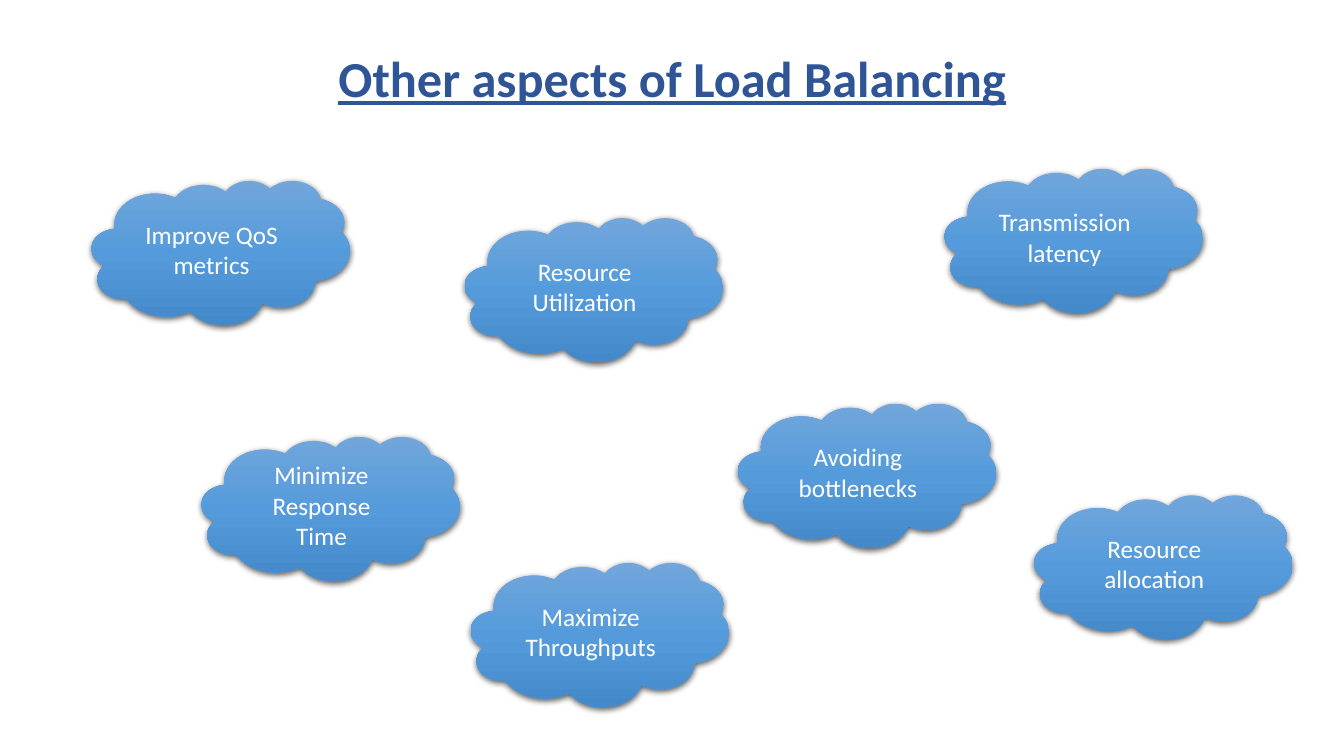
from dataclasses import dataclass

from lxml import etree
from pptx import Presentation
from pptx.dml.color import RGBColor
from pptx.enum.shapes import MSO_SHAPE
from pptx.enum.text import MSO_ANCHOR, MSO_AUTO_SIZE, PP_ALIGN
from pptx.oxml import parse_xml
from pptx.oxml.ns import qn
from pptx.util import Inches, Pt

CLOUD = MSO_SHAPE.CLOUD
MIDDLE, BOTTOM = MSO_ANCHOR.MIDDLE, MSO_ANCHOR.BOTTOM
FIXED = MSO_AUTO_SIZE.NONE
CENTER = PP_ALIGN.CENTER
NS = "http://schemas.openxmlformats.org/drawingml/2006/main"


@dataclass(frozen=True)
class Theme:
    font: str = "Calibri"
    head: str = "2F5597"
    text: str = "FFFFFF"
    shade: str = "000000"
    stops: tuple = ((0, "71A6DB"), (50, "559BDB"), (100, "448ACA"))
    big: int = 36
    body: int = 18


THEME = Theme()
SIZE = (2.56, 1.43)
ASPECTS = (
    ("Improve QoS metrics", 0.91, 1.79),
    ("Resource Utilization", 4.61, 2.16),
    ("Transmission latency", 9.37, 1.67),
    ("Minimize Response Time", 2, 4.33),
    ("Avoiding bottlenecks", 7.32, 4),
    ("Maximize Throughputs", 4.67, 5.58),
    ("Resource allocation", 10.26, 4.91),
)


def apply(item, form):
    for name, value in form.items():
        setattr(item, name, value)


def place(shape, box):
    names = ("left", "top", "width", "height")
    apply(shape, dict(zip(names, map(Inches, box))))


def write(shape, text, anchor, color, font, spacing=None):
    frame = shape.text_frame
    apply(frame, {"text": text, "word_wrap": True, "auto_size": FIXED,
                  "vertical_anchor": anchor})
    line = frame.paragraphs[0]
    apply(line, {"alignment": CENTER, "line_spacing": spacing})
    face = line.runs[0].font
    apply(face, {"name": THEME.font, **font})
    face.color.rgb = RGBColor.from_string(color)


def blend(shape):
    fill = shape.fill
    fill.gradient()
    fill.gradient_angle = 270
    tray = shape._element.spPr.find(f".//{qn('a:gsLst')}")
    for stop in list(tray):
        tray.remove(stop)
    for spot, color in THEME.stops:
        stop = etree.SubElement(tray, qn("a:gs"), pos=str(spot * 1000))
        etree.SubElement(stop, qn("a:srgbClr"), val=color)


def shade(shape):
    shape.shadow.inherit = False
    tray = shape._element.spPr.find(qn("a:effectLst"))
    tray.append(parse_xml(
        f'<a:outerShdw xmlns:a="{NS}" blurRad="{Pt(4.5)}" dist="{Pt(1.5)}" '
        f'dir="5400000" algn="ctr" rotWithShape="0">'
        f'<a:srgbClr val="{THEME.shade}"><a:alpha val="63000"/></a:srgbClr>'
        f'</a:outerShdw>'))


def add_title(slide, text, box):
    title = slide.shapes.title
    place(title, box)
    write(title, text, BOTTOM, THEME.head,
          {"size": Pt(THEME.big), "bold": True, "underline": True}, 0.9)


def add_cloud(slide, text, box):
    cloud = slide.shapes.add_shape(CLOUD, *map(Inches, box))
    blend(cloud)
    cloud.line.fill.background()
    shade(cloud)
    write(cloud, text, MIDDLE, THEME.text, {"size": Pt(THEME.body)})


def main():
    deck = Presentation()
    apply(deck, {"slide_width": Inches(13.33), "slide_height": Inches(7.5)})
    slide = deck.slides.add_slide(deck.slide_layouts.get_by_name("Title Only"))
    add_title(slide, "Other aspects of Load Balancing", (1.42, 0.49, 10.5, 0.64))
    for text, left, top in ASPECTS:
        add_cloud(slide, text, (left, top, *SIZE))
    deck.save("out.pptx")


if __name__ == "__main__":
    main()
